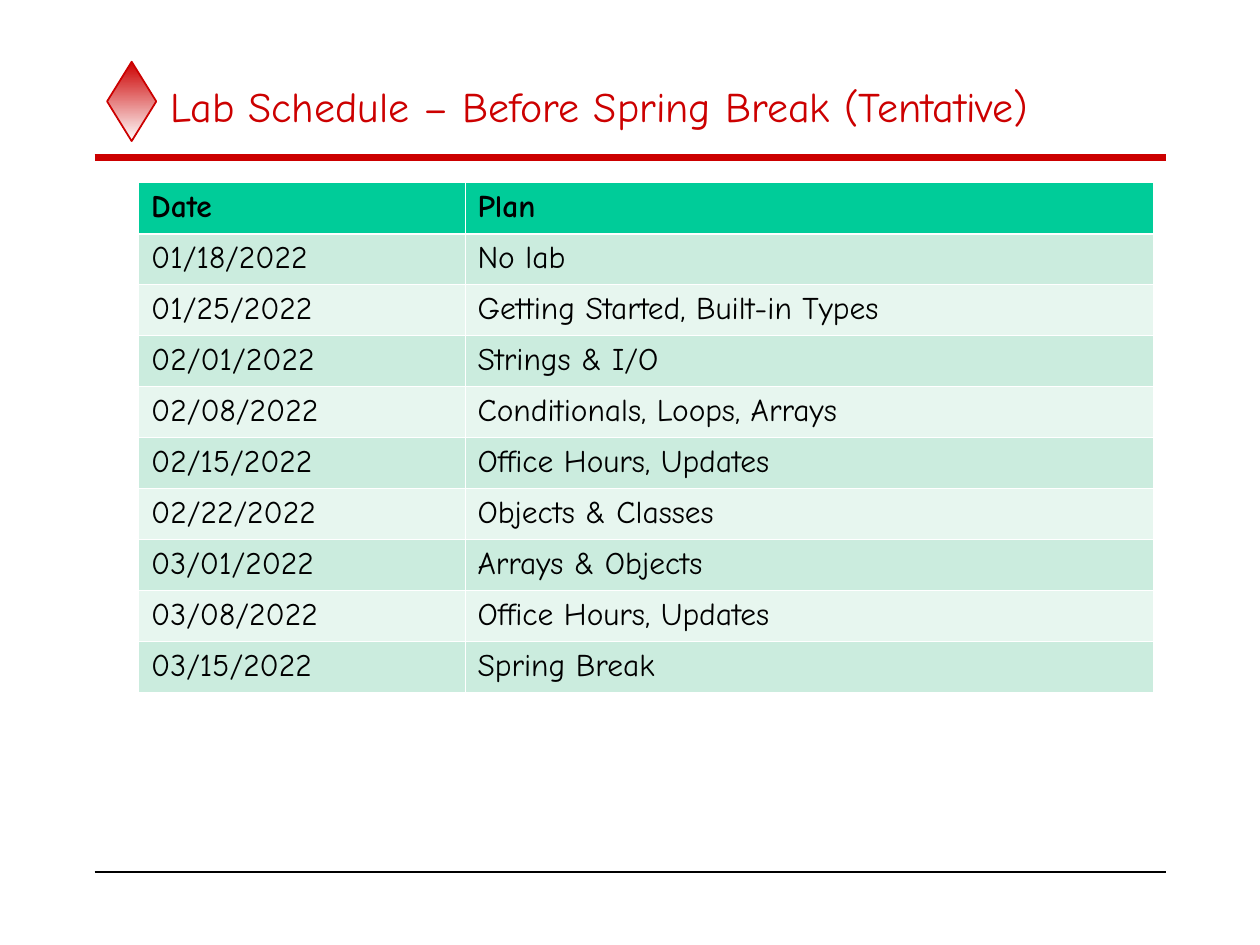
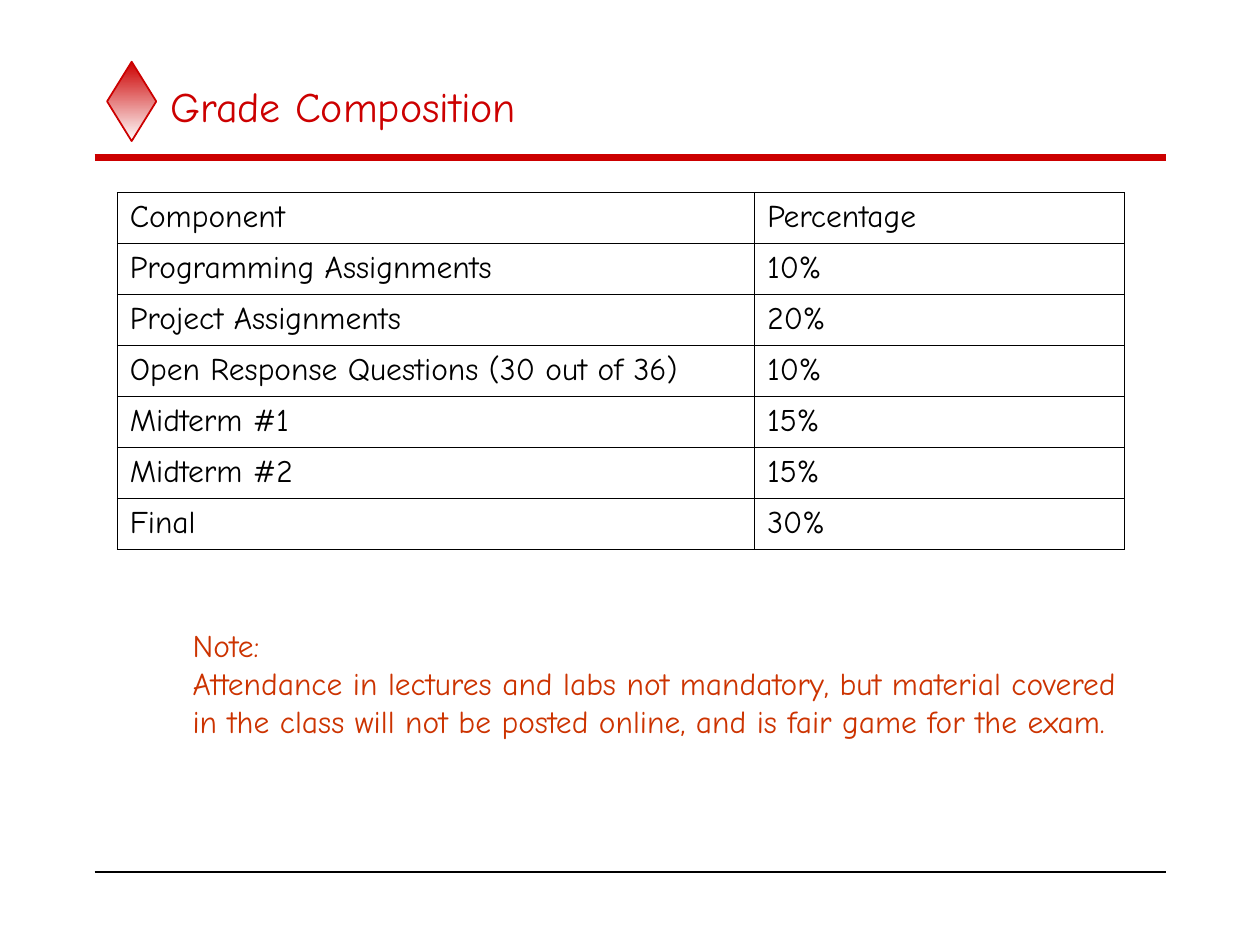
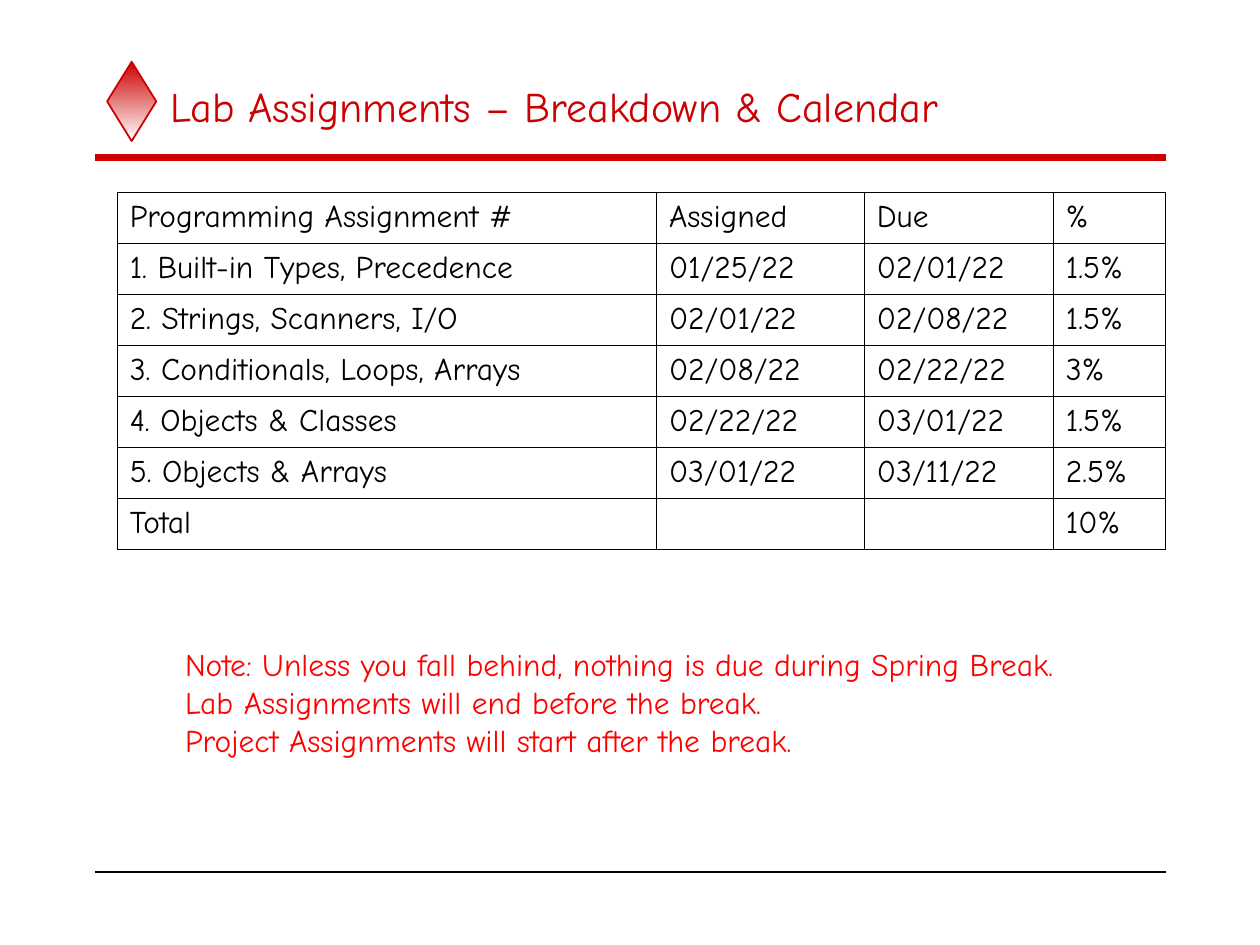
"""Build three course slides: lab schedule, grade composition and lab assignments."""
from lxml.etree import SubElement
from pptx import Presentation
from pptx.dml.color import RGBColor
from pptx.enum.shapes import MSO_CONNECTOR, MSO_SHAPE
from pptx.enum.text import MSO_ANCHOR, MSO_AUTO_SIZE, PP_ALIGN
from pptx.oxml import parse_xml
from pptx.oxml.ns import nsdecls, qn
from pptx.util import Inches, Pt

COLORS = {
    "red": "CC0000",
    "note_orange": "CC3300",
    "note_red": "FF0000",
    "black": "000000",
    "white": "FFFFFF",
    "header": "00CC99",
    "band_dark": "CBECDE",
    "band_light": "E7F6EF",
}
FONT = "Comic Neue"
ROW_HEIGHT = 0.405
THIN, THICK = 0.45, 1.47

SLIDES = [
    {
        "title": "Lab Schedule – Before Spring Break (Tentative)",
        "place": (1.1, 1.45),
        "columns": [2.59, 5.46],
        "banded": True,
        "rows": [
            ("Date", "Plan"),
            ("01/18/2022", "No lab"),
            ("01/25/2022", "Getting Started, Built-in Types"),
            ("02/01/2022", "Strings & I/O"),
            ("02/08/2022", "Conditionals, Loops, Arrays"),
            ("02/15/2022", "Office Hours, Updates"),
            ("02/22/2022", "Objects & Classes"),
            ("03/01/2022", "Arrays & Objects"),
            ("03/08/2022", "Office Hours, Updates"),
            ("03/15/2022", "Spring Break"),
        ],
    },
    {
        "title": "Grade Composition",
        "place": (0.93, 1.53),
        "columns": [5.06, 2.93],
        "banded": False,
        "rows": [
            ("Component", "Percentage"),
            ("Programming Assignments", "10%"),
            ("Project Assignments", "20%"),
            ("Open Response Questions (30 out of 36)", "10%"),
            ("Midterm #1", "15%"),
            ("Midterm #2", "15%"),
            ("Final", "30%"),
        ],
        "note": {
            "place": (1.43, 4.92, 7.65, 1),
            "color": "note_orange",
            "text": "Note:\n"
            "Attendance in lectures and labs not mandatory, but material covered\n"
            "in the class will not be posted online, and is fair game for the exam.",
        },
    },
    {
        "title": "Lab Assignments – Breakdown & Calendar",
        "place": (0.93, 1.53),
        "columns": [4.28, 1.65, 1.5, 0.89],
        "banded": False,
        "rows": [
            ("Programming Assignment #", "Assigned", "Due", "%"),
            ("1. Built-in Types, Precedence", "01/25/22", "02/01/22", "1.5%"),
            ("2. Strings, Scanners, I/O", "02/01/22", "02/08/22", "1.5%"),
            ("3. Conditionals, Loops, Arrays", "02/08/22", "02/22/22", "3%"),
            ("4. Objects & Classes", "02/22/22", "03/01/22", "1.5%"),
            ("5. Objects & Arrays", "03/01/22", "03/11/22", "2.5%"),
            ("Total", "", "", "10%"),
        ],
        "note": {
            "place": (1.37, 5.07, 7.11, 1.3),
            "color": "note_red",
            "text": "Note: Unless you fall behind, nothing is due during Spring Break.\n"
            "Lab Assignments will end before the break.\n"
            "Project Assignments will start after the break.",
        },
    },
]


def write_text(frame, text, size=18, color="black", bold=False):
    """Fill a text frame with one left-aligned paragraph per line."""
    frame.text = text
    for para in frame.paragraphs:
        para.alignment = PP_ALIGN.LEFT
        for target in [para, *para.runs]:
            target.font.name = FONT
            target.font.size = Pt(size)
            target.font.bold = bold
            target.font.color.rgb = RGBColor.from_string(COLORS[color])


def set_borders(cell, color, top=THIN, bottom=THIN):
    """Draw the four borders of a table cell."""
    properties = cell._tc.get_or_add_tcPr()
    widths = {"lnL": THIN, "lnR": THIN, "lnT": top, "lnB": bottom}
    for position, (tag, width) in enumerate(widths.items()):
        border = parse_xml(f'<a:{tag} {nsdecls("a")} w="{Pt(width)}"/>')
        fill = SubElement(border, qn("a:solidFill"))
        SubElement(fill, qn("a:srgbClr"), val=COLORS[color])
        properties.insert(position, border)


deck = Presentation()
deck.slide_width, deck.slide_height = Inches(10), Inches(7.5)

for content in SLIDES:
    page = deck.slides.add_slide(deck.slide_layouts[5])

    diamond = page.shapes.add_shape(
        MSO_SHAPE.DIAMOND, Inches(0.85), Inches(0.49), Inches(0.39), Inches(0.63)
    )
    diamond.shadow.inherit = False
    diamond.fill.gradient()
    diamond.fill.gradient_angle = 270
    for stop, position, color in zip(diamond.fill.gradient_stops, (0, 1), ("red", "white")):
        stop.position = position
        stop.color.rgb = RGBColor.from_string(COLORS[color])
    diamond.line.color.rgb = RGBColor.from_string(COLORS["red"])
    diamond.line.width = Pt(1)

    for height, color, width in [(1.25, "red", 4), (6.92, "black", 1)]:
        rule = page.shapes.add_connector(
            MSO_CONNECTOR.STRAIGHT, Inches(0.75), Inches(height), Inches(9.25), Inches(height)
        )
        rule.line.color.rgb = RGBColor.from_string(COLORS[color])
        rule.line.width = Pt(width)
        SubElement(rule._element.spPr, qn("a:effectLst"))

    title = page.shapes.title
    title.left, title.top = Inches(1.25), Inches(0.5)
    title.width, title.height = Inches(8), Inches(0.67)
    title.text_frame.vertical_anchor = MSO_ANCHOR.MIDDLE
    title.text_frame.auto_size = MSO_AUTO_SIZE.NONE
    write_text(title.text_frame, content["title"], size=24, color="red")

    rows, columns, banded = content["rows"], content["columns"], content["banded"]
    left, top = content["place"]
    table = page.shapes.add_table(
        len(rows), len(columns), Inches(left), Inches(top),
        Inches(sum(columns)), Inches(ROW_HEIGHT * len(rows)),
    ).table
    for column, width in zip(table.columns, columns):
        column.width = Inches(width)
    for row_number, row in enumerate(rows):
        table.rows[row_number].height = Inches(ROW_HEIGHT)
        for column_number, text in enumerate(row):
            cell = table.cell(row_number, column_number)
            is_header = banded and row_number == 0
            write_text(cell.text_frame, text, bold=is_header)
            if banded:
                band = "band_dark" if row_number % 2 else "band_light"
                cell.fill.solid()
                cell.fill.fore_color.rgb = RGBColor.from_string(
                    COLORS["header" if is_header else band]
                )
                set_borders(
                    cell, "white",
                    top=THICK if row_number == 1 else THIN,
                    bottom=THICK if is_header else THIN,
                )
            else:
                cell.fill.background()
                set_borders(cell, "black")

    if "note" in content:
        note = content["note"]
        box = page.shapes.add_textbox(*[Inches(length) for length in note["place"]])
        box.text_frame.word_wrap = False
        box.text_frame.auto_size = MSO_AUTO_SIZE.SHAPE_TO_FIT_TEXT
        write_text(box.text_frame, note["text"], color=note["color"])

deck.save("out.pptx")
